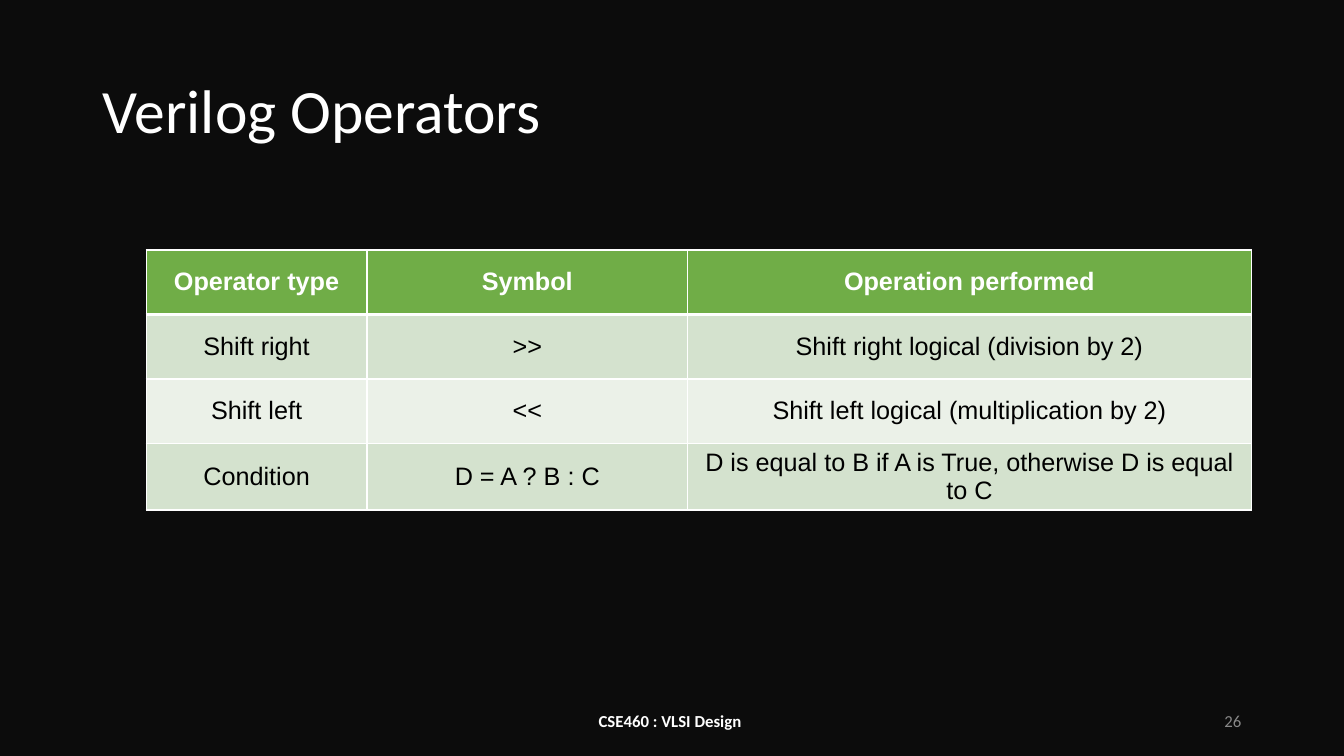
from lxml.etree import SubElement
from pptx import Presentation
from pptx.dml.color import RGBColor
from pptx.enum.text import MSO_ANCHOR, PP_ALIGN
from pptx.oxml.ns import qn
from pptx.util import Inches, Pt

# Content
TITLE = "Verilog Operators"
FOOTER = "CSE460 : VLSI Design "
PAGE = "26"
ROWS = [
    ("Operator type", "Symbol", "Operation performed"),
    ("Shift right", ">>", "Shift right logical (division by 2)"),
    ("Shift left", "<<", "Shift left logical (multiplication by 2)"),
    ("Condition", "D = A ? B : C",
     "D is equal to B if A is True, otherwise D is equal to C"),
]
COLORS = {"back": "0C0C0C", "white": "FFFFFF", "black": "000000", "grey": "888888",
          "head": "70AD47", "odd": "D4E2CE", "even": "EBF1E8"}

# Layout in inches
WIDTH, HEIGHT = 13.33, 7.5
MARGIN = 0.92
FOOT_TOP, FOOT_H = 6.95, 0.4
FOOTER_W, PAGE_W = 4.5, 3
TABLE_LEFT, TABLE_TOP = 1.45, 2.48
COL_WIDTHS = (2.19, 3.18, 5.59)
ROW_H = 0.64


def color(name):
    return RGBColor.from_string(COLORS[name])


def write(tf, text, size=18, font="Calibri", fill="white", bold=False,
          align=PP_ALIGN.LEFT, spacing=None):
    p = tf.paragraphs[0]
    p.alignment = align
    p.line_spacing = spacing
    r = p.add_run()
    r.text = text
    r.font.size, r.font.name, r.font.bold = Pt(size), font, bold
    r.font.color.rgb = color(fill)


def add_text(s, left, width, text, **fmt):
    box = s.shapes.add_textbox(Inches(left), Inches(FOOT_TOP), Inches(width), Inches(FOOT_H))
    tf = box.text_frame
    tf.word_wrap = True
    tf.vertical_anchor = MSO_ANCHOR.MIDDLE
    write(tf, text, size=12, **fmt)


def add_borders(cell, top, bottom):
    tc_pr = cell._tc.get_or_add_tcPr()
    for side, width in (("L", 1), ("R", 1), ("T", top), ("B", bottom)):
        ln = SubElement(tc_pr, qn(f"a:ln{side}"), w=str(Pt(width)))
        SubElement(SubElement(ln, qn("a:solidFill")), qn("a:srgbClr"), val=COLORS["white"])


def add_operators(s):
    frame = s.shapes.add_table(len(ROWS), len(COL_WIDTHS), Inches(TABLE_LEFT), Inches(TABLE_TOP),
                               Inches(sum(COL_WIDTHS)), Inches(ROW_H * len(ROWS)))
    table = frame.table
    for column, width in zip(table.columns, COL_WIDTHS):
        column.width = Inches(width)
    for i, row in enumerate(ROWS):
        table.rows[i].height = Inches(ROW_H)
        head = i == 0
        band = "head" if head else "odd" if i % 2 else "even"
        for j, text in enumerate(row):
            cell = table.cell(i, j)
            cell.vertical_anchor = MSO_ANCHOR.MIDDLE
            add_borders(cell, top=3 if i == 1 else 1, bottom=3 if head else 1)
            cell.fill.solid()
            cell.fill.fore_color.rgb = color(band)
            write(cell.text_frame, text, font="Arial", fill="white" if head else "black",
                  bold=head, align=PP_ALIGN.CENTER)


def main():
    prs = Presentation()
    prs.slide_width, prs.slide_height = Inches(WIDTH), Inches(HEIGHT)
    s = prs.slides.add_slide(prs.slide_layouts[5])
    s.background.fill.solid()
    s.background.fill.fore_color.rgb = color("back")

    # Title
    title = s.shapes.title
    title.left, title.top = Inches(MARGIN), Inches(0.4)
    title.width, title.height = Inches(WIDTH - 2 * MARGIN), Inches(1.45)
    title.text_frame.vertical_anchor = MSO_ANCHOR.MIDDLE
    write(title.text_frame, TITLE, size=44, spacing=0.9)

    # Table, page number and footer
    add_operators(s)
    add_text(s, WIDTH - MARGIN - PAGE_W, PAGE_W, PAGE, fill="grey", align=PP_ALIGN.RIGHT)
    add_text(s, (WIDTH - FOOTER_W) / 2, FOOTER_W, FOOTER, bold=True, align=PP_ALIGN.CENTER)
    prs.save("out.pptx")


if __name__ == "__main__":
    main()
